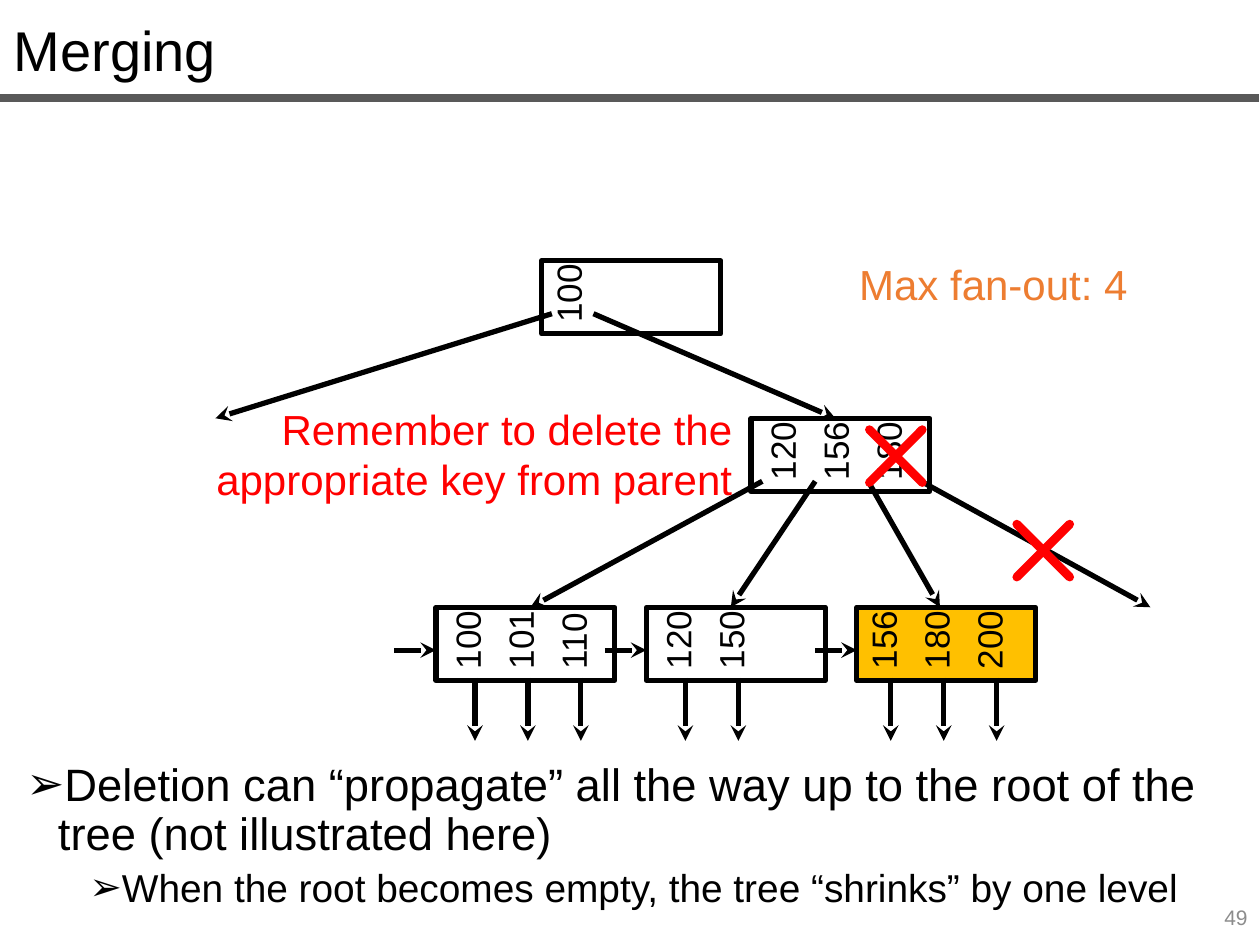
from lxml.etree import SubElement
from pptx import Presentation
from pptx.dml.color import RGBColor
from pptx.enum.shapes import MSO_CONNECTOR as Conn, MSO_SHAPE as Shape
from pptx.enum.text import MSO_ANCHOR as Anchor, MSO_AUTO_SIZE as Fit, PP_ALIGN as Align
from pptx.oxml.ns import qn
from pptx.util import Inches, Pt

BLACK = RGBColor(0x00, 0x00, 0x00)
RED = RGBColor(0xFF, 0x00, 0x00)
GOLD = RGBColor(0xFF, 0xC0, 0x00)
ORANGE = RGBColor(0xED, 0x7D, 0x31)
DARK = RGBColor(0x59, 0x59, 0x59)
GRAY = RGBColor(0x8C, 0x8C, 0x8C)
FONT = "Arial"
NODE_W, NODE_H, STEP = 1.42, 0.58, 0.42


def place(shape, left, top, width, height):
    """Move and size a shape, in inches."""
    shape.left, shape.top = Inches(left), Inches(top)
    shape.width, shape.height = Inches(width), Inches(height)


def style(para, size, color=BLACK, align=Align.LEFT):
    """Format a paragraph and its runs."""
    para.alignment = align
    for run in para.runs:
        run.font.name, run.font.size = FONT, Pt(size)
        run.font.color.rgb = color


def label(slide, box, text, size, color=BLACK, align=Align.LEFT, wrap=False):
    """Add a text box and return it."""
    shape = slide.shapes.add_textbox(*map(Inches, box))
    frame = shape.text_frame
    frame.word_wrap = wrap
    frame.paragraphs[0].text = text
    style(frame.paragraphs[0], size, color, align)
    return shape


def line(slide, start, end, color=BLACK, width=3, arrow=False, cap="flat"):
    """Draw a straight line, with an arrowhead if asked."""
    conn = slide.shapes.add_connector(Conn.STRAIGHT, *map(Inches, (*start, *end)))
    conn.line.color.rgb, conn.line.width = color, Pt(width)
    props = conn.line._get_or_add_ln()
    props.set("cap", cap)
    if arrow:
        SubElement(props, qn("a:tailEnd"), type="stealth")
    SubElement(conn._element.spPr, qn("a:effectLst"))


def cross(slide, left, top, size=0.42):
    """Strike out a square area in red."""
    right, low = left + size, top + size
    line(slide, (left, top), (right, low), RED, 5, cap="rnd")
    line(slide, (right, top), (left, low), RED, 5, cap="rnd")


def node(slide, left, top, keys, pad=0.03, fill=None):
    """Draw a tree node with its upright keys."""
    box = slide.shapes.add_shape(
        Shape.RECTANGLE, *map(Inches, (left, top, NODE_W, NODE_H)))
    box.shadow.inherit = False
    box.line.color.rgb, box.line.width = BLACK, Pt(3)
    if fill is None:
        box.fill.background()
    else:
        box.fill.solid()
        box.fill.fore_color.rgb = fill
    for i, key in enumerate(keys):
        area = (left + pad + i * STEP, top + 0.02, 0.54, 0.57)
        text = label(slide, area, key, 20, align=Align.CENTER)
        text.rotation = 180
        text.text_frame._txBody.bodyPr.set("vert", "eaVert")


def leaf(slide, left, top, keys, pad=0.03, fill=None):
    """Draw a leaf with its record pointers and incoming link."""
    node(slide, left, top, keys, pad, fill)
    for i in range(len(keys)):
        x = left + pad + 0.28 + i * STEP
        line(slide, (x, top + 0.56), (x, top + 1.06), arrow=True)
    line(slide, (left - 0.33, top + 0.34), (left, top + 0.34), arrow=True)


def tree(slide, left, top):
    """Draw the three tree levels from the first leaf's left and the root's top."""
    mid, low = top + 1.25, top + 2.75
    leaf(slide, left, low, ("100", "101", "110"))
    leaf(slide, left + 1.67, low, ("120", "150"))
    leaf(slide, left + 3.34, low, ("156", "180", "200"), -0.01, GOLD)
    node(slide, left + 2.5, mid, ("120", "156", "180"))
    node(slide, left + 0.84, top, ("100",), -0.01)
    for x, end in ((0.92, -1.75), (1.25, 3.17)):
        line(slide, (left + x, top + 0.42), (left + end, mid), arrow=True)
    for i, end in enumerate((0.75, 2.34, 4, 5.67)):
        x = left + 2.59 + i * STEP
        line(slide, (x, mid + 0.5), (left + end, low), arrow=True)
    cross(slide, left + 3.44, mid + 0.09)
    cross(slide, left + 4.61, mid + 0.84)


def header(slide, left, top, width, height):
    """Fill the title and rule it off."""
    title = slide.shapes.title
    place(title, left, top, width, height)
    frame = title.text_frame
    frame.text = "Merging"
    frame.auto_size, frame.vertical_anchor = Fit.NONE, Anchor.TOP
    style(frame.paragraphs[0], 32)
    rule = top + height + 0.07
    line(slide, (0, rule), (9.99, rule), DARK, 4.5)


def points(slide, left, top, width, height):
    """Fill the body with two bullet levels."""
    body = slide.placeholders[1]
    place(body, left, top, width, height)
    frame = body.text_frame
    frame.auto_size, frame.vertical_anchor = Fit.NONE, Anchor.TOP
    items = (
        ("Deletion can “propagate” all the way up to the root of the tree "
         "(not illustrated here)", 25.9, 10, 0.25),
        ("When the root becomes empty, the tree “shrinks” by one level",
         22.2, 5, 0.75),
    )
    for i, (text, size, gap, indent) in enumerate(items):
        para = frame.add_paragraph() if i else frame.paragraphs[0]
        para.text, para.level = text, i
        style(para, size)
        para.line_spacing, para.space_before = 0.9, Pt(gap)
        props = para._p.get_or_add_pPr()
        props.set("marL", str(Inches(indent)))
        props.set("indent", str(Inches(-0.25)))
        SubElement(props, qn("a:buFont"), typeface=FONT)
        SubElement(props, qn("a:buChar"), char="➢")


def notes(slide):
    """Add the remarks beside the tree and the page number."""
    label(slide, (6.72, 2, 2.35, 0.5), "Max fan-out: 4", 24, ORANGE)
    label(slide, (1.57, 3.15, 4.34, 0.91),
          "Remember to delete the\vappropriate key from parent",
          24, RED, Align.RIGHT)
    page = label(slide, (7.75, 7.08, 2.25, 0.4), "49", 12, GRAY, Align.RIGHT, True)
    page.text_frame.vertical_anchor = Anchor.MIDDLE


def main():
    """Build and save the slide."""
    deck = Presentation()
    deck.slide_width, deck.slide_height = Inches(10), Inches(7.5)
    slide = deck.slides.add_slide(deck.slide_layouts[1])
    header(slide, 0.01, 0.07, 9.99, 0.64)
    points(slide, 0.11, 6, 9.74, 1.35)
    tree(slide, 3.46, 2.07)
    notes(slide)
    deck.save("out.pptx")


if __name__ == "__main__":
    main()
